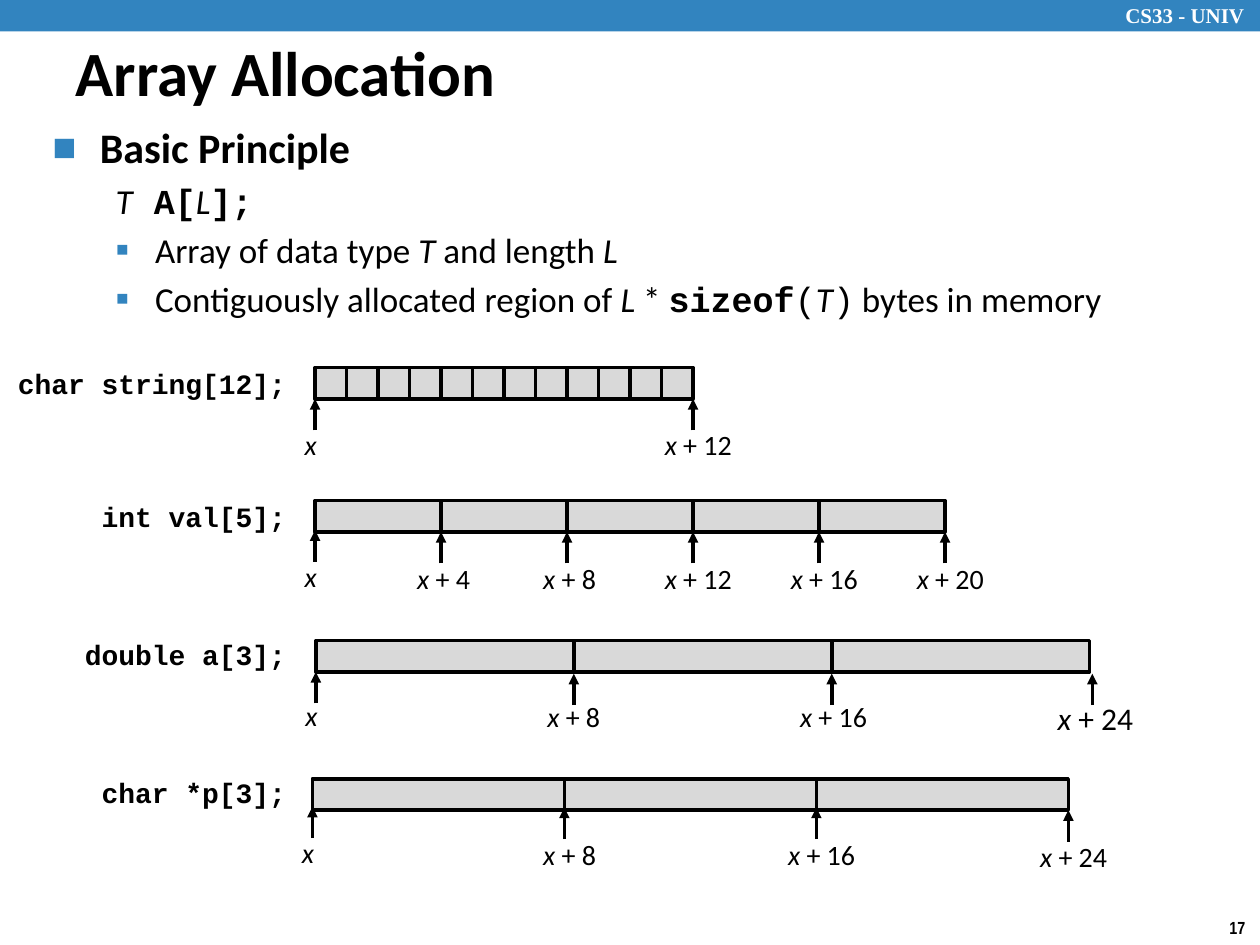
from collections import namedtuple
from dataclasses import dataclass

from lxml import etree
from pptx import Presentation
from pptx.dml.color import RGBColor
from pptx.enum.shapes import MSO_CONNECTOR, MSO_SHAPE
from pptx.enum.text import MSO_ANCHOR, MSO_AUTO_SIZE, PP_ALIGN
from pptx.oxml.ns import qn
from pptx.util import Pt

RECT, STRAIGHT = MSO_SHAPE.RECTANGLE, MSO_CONNECTOR.STRAIGHT
LEFT, CENTER, RIGHT = PP_ALIGN.LEFT, PP_ALIGN.CENTER, PP_ALIGN.RIGHT
MIDDLE, TOP = MSO_ANCHOR.MIDDLE, MSO_ANCHOR.TOP
GROW, FIXED = MSO_AUTO_SIZE.SHAPE_TO_FIT_TEXT, MSO_AUTO_SIZE.NONE


@dataclass(frozen=True)
class Theme:
    accent: RGBColor = RGBColor(0x32, 0x84, 0xBF)
    ink: RGBColor = RGBColor(0, 0, 0)
    paper: RGBColor = RGBColor(0xFF, 0xFF, 0xFF)
    cell: RGBColor = RGBColor(0xD9, 0xD9, 0xD9)
    sans: str = "Calibri"
    mono: str = "Courier New"
    serif: str = "Times New Roman"
    narrow: str = "Arial Narrow"
    title: int = 36
    heading: int = 24
    body: int = 20
    address: int = 16
    last_address: int = 18
    course: int = 12
    page: int = 10


THEME = Theme()
CELL_HEIGHT = ARROW_LENGTH = 18
DECLARATION_RIGHT = 170.5
MONO_ADVANCE = 9.6

# Formats of the text runs
PLAIN = {"name": THEME.sans, "bold": False, "italic": False}
ITALIC = {**PLAIN, "italic": True}
BOLD = {**PLAIN, "bold": True}
CODE = {**BOLD, "name": THEME.mono}
LIGHT_CODE = {**CODE, "bold": False}

# One address: byte offset, arrow tip and label relative to the bar top,
# label shift from the cell edge, label size and arrow shift
Mark = namedtuple("Mark", "offset tip label_y label_x size arrow_x",
                  defaults=(THEME.address, 0))
# One array: declaration and its top, bar position, cells, bytes and width
Array = namedtuple("Array", "code code_top left top cells step width marks")

ARRAYS = [
    Array("char string[12];", 206, 180, 210, 12, 1, 18,
          [Mark(0, 18, 31, -2.5), Mark(12, 18, 31, 3)]),
    Array("int val[5];", 282, 180, 286, 5, 4, 72,
          [Mark(0, 17, 30, -2.5), Mark(4, 18, 31.5, 1.5), Mark(8, 18, 31.5, 1.5),
           Mark(12, 18, 31.5, 3), Mark(16, 18, 31.5, 3), Mark(20, 18, 31.5, 3)]),
    Array("double a[3];", 361, 180.5, 366, 3, 8, 147.4,
          [Mark(0, 18, 29.5, -2.5), Mark(8, 19, 30, 0), Mark(16, 19, 30, 1),
           Mark(24, 19, 30, 3.2, THEME.last_address, 1.5)]),
    Array("char *p[3];", 439.5, 178.5, 445, 3, 8, 144,
          [Mark(0, 16, 29, -2.5), Mark(8, 16.5, 30, 3), Mark(16, 16.5, 30, 3),
           Mark(24, 18, 31, 3)]),
]

# Body paragraphs: size, left margin, hanging indent, bullet, runs
PRINCIPLE = [
    (THEME.heading, 27, 27, ("\u25a0", 60), [("Basic Principle", BOLD)]),
    (THEME.body, 58.5, 22.5, None,
     [("T", ITALIC), (" A[", CODE), ("L", ITALIC), ("];", CODE)]),
    (THEME.body, 58.5, 22.5, ("\u25aa", 110),
     [("Array of data type ", PLAIN), ("T", ITALIC), (" and length ", PLAIN),
      ("L", ITALIC)]),
    (THEME.body, 58.5, 22.5, ("\u25aa", 110),
     [("Contiguously allocated region of ", PLAIN), ("L", ITALIC), (" * ", PLAIN),
      ("sizeof", CODE), ("(", LIGHT_CODE), ("T", ITALIC), (")", LIGHT_CODE),
      (" bytes in memory", PLAIN)]),
]


def apply(target, values):
    for name, value in values.items():
        setattr(target, name, value)


def place(shape, left, top, width, height):
    box = {"left": left, "top": top, "width": width, "height": height}
    apply(shape, {name: Pt(value) for name, value in box.items()})


def add_runs(paragraph, runs, size, color=THEME.ink):
    for text, style in runs:
        run = paragraph.add_run()
        run.text = text
        apply(run.font, {**style, "size": Pt(size)})
        run.font.color.rgb = color


def set_indent(paragraph, margin, hanging):
    properties = paragraph._p.get_or_add_pPr()
    properties.set("marL", str(Pt(margin)))
    properties.set("indent", str(-Pt(hanging)))
    return properties


def add_text(shapes, box, runs, size, align=LEFT, wrap=True, color=THEME.ink):
    textbox = shapes.add_textbox(*map(Pt, box))
    apply(textbox.text_frame, {"word_wrap": wrap, "auto_size": GROW})
    paragraph = textbox.text_frame.paragraphs[0]
    paragraph.alignment = align
    add_runs(paragraph, runs, size, color)


def add_rectangle(shapes, box, fill, outline=None):
    rectangle = shapes.add_shape(RECT, *map(Pt, box))
    rectangle.shadow.inherit = False
    rectangle.fill.solid()
    rectangle.fill.fore_color.rgb = fill
    if outline is None:
        rectangle.line.fill.background()
    else:
        rectangle.line.color.rgb = outline
        rectangle.line.width = Pt(2)


def add_up_arrow(shapes, x, tip):
    arrow = shapes.add_connector(STRAIGHT, Pt(x), Pt(tip + ARROW_LENGTH), Pt(x), Pt(tip))
    arrow.line.color.rgb = THEME.ink
    arrow.line.width = Pt(2)
    etree.SubElement(arrow.line._get_or_add_ln(), qn("a:tailEnd"), type="triangle")
    etree.SubElement(arrow._element.spPr, qn("a:effectLst"))


def add_bullet(properties, character, percent):
    color = etree.SubElement(properties, qn("a:buClr"))
    etree.SubElement(color, qn("a:srgbClr"), val=str(THEME.accent))
    etree.SubElement(properties, qn("a:buSzPct"), val=str(percent * 1000))
    etree.SubElement(properties, qn("a:buFont"), typeface=THEME.sans)
    etree.SubElement(properties, qn("a:buChar"), char=character)


def add_title(slide, text):
    title = slide.shapes.title
    place(title, 36, 18, 468, 45)
    apply(title.text_frame, {"vertical_anchor": MIDDLE, "auto_size": FIXED,
                             "word_wrap": True})
    paragraph = title.text_frame.paragraphs[0]
    paragraph.alignment = LEFT
    set_indent(paragraph, 9, 9)
    add_runs(paragraph, [(text, BOLD)], THEME.title)


def add_principle(slide):
    frame = slide.shapes.add_textbox(Pt(23), Pt(66), Pt(654.5), Pt(127.5)).text_frame
    apply(frame, {"word_wrap": True, "vertical_anchor": TOP, "auto_size": FIXED})
    for index, (size, margin, hanging, bullet, runs) in enumerate(PRINCIPLE):
        paragraph = frame.add_paragraph() if index else frame.paragraphs[0]
        paragraph.space_before = Pt(size * 0.2)
        properties = set_indent(paragraph, margin, hanging)
        # A line without a bullet starts where the bullets stand
        if bullet:
            add_bullet(properties, *bullet)
        else:
            set_indent(paragraph, margin, hanging)
        add_runs(paragraph, runs, size)


def add_array(slide, array):
    # Declaration
    width = len(array.code) * MONO_ADVANCE + 14.4
    add_text(slide.shapes, (DECLARATION_RIGHT - width, array.code_top, width, 26.5),
             [(array.code, CODE)], THEME.address, RIGHT, wrap=False)
    # Memory cells
    shapes = slide.shapes.add_group_shape().shapes
    for index in range(array.cells):
        add_rectangle(shapes, (array.left + index * array.width, array.top,
                               array.width, CELL_HEIGHT), THEME.cell, THEME.ink)
    # Addresses
    for mark in array.marks:
        edge = array.left + mark.offset / array.step * array.width
        runs = [("x", ITALIC)]
        if mark.offset:
            runs = [("x ", ITALIC), (f"+ {mark.offset}", PLAIN)]
        label_width = 78 if mark.offset else 31
        add_text(shapes, (edge + mark.label_x - label_width / 2, array.top + mark.label_y,
                          label_width, 26.5), runs, mark.size, CENTER)
        add_up_arrow(shapes, edge + mark.arrow_x, array.top + mark.tip)


def main():
    deck = Presentation()
    apply(deck, {"slide_width": Pt(720), "slide_height": Pt(540)})
    slide = deck.slides.add_slide(deck.slide_layouts[5])
    # Header band and page number
    add_rectangle(slide.shapes, (0, 0, 720, 18), THEME.accent)
    add_text(slide.shapes, (636, -2, 89, 21.5),
             [("CS33 - UNIV", {**BOLD, "name": THEME.serif})], THEME.course,
             color=THEME.paper)
    add_text(slide.shapes, (695.5, 520.5, 24.5, 19.5),
             [("17", {**BOLD, "name": THEME.narrow})], THEME.page, wrap=False)
    # Title, principle and the array diagrams
    add_title(slide, "Array Allocation")
    add_principle(slide)
    for array in ARRAYS:
        add_array(slide, array)
    deck.save("out.pptx")


main()
